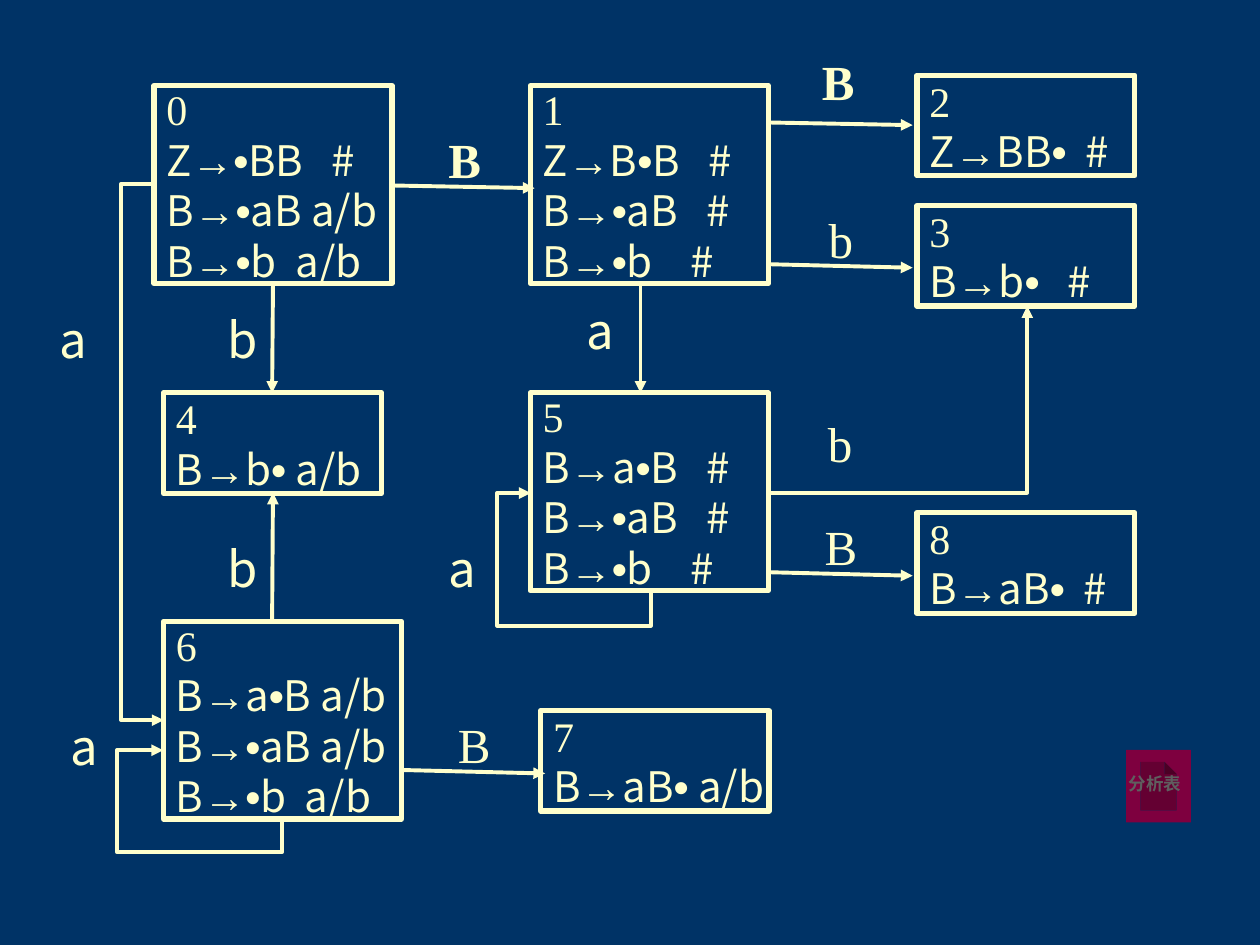
from itertools import groupby
from lxml.etree import SubElement
from pptx import Presentation
from pptx.dml.color import RGBColor
from pptx.enum.shapes import MSO_CONNECTOR as Link, MSO_SHAPE as Form
from pptx.enum.text import MSO_ANCHOR as Anchor, PP_ALIGN as Align
from pptx.oxml.ns import qn
from pptx.util import Pt

CREAM, NAVY, WINE, GRAY = "FFFFCC", "003366", "7E003F", "5F5F5F"
SERIF, SANS, MARK = "Times New Roman", "Noto Sans CJK SC", "Arial"
HIGH = {2: 57.5, 4: 113}

STATES = [
    (88, 49, 136, ["0", "Z→•BB   #", "B→•aB a/b", "B→•b  a/b"]),
    (303, 49, 136, ["1", "Z→B•B   #", "B→•aB   #", "B→•b    #"]),
    (524, 43, 124.5, ["2", "Z→BB•  #"]),
    (524, 117.5, 124.5, ["3", "B→b•   #"]),
    (93.5, 224.5, 124.5, ["4", "B→b• a/b"]),
    (303, 224.5, 136, ["5", "B→a•B   #", "B→•aB   #", "B→•b    #"]),
    (93.5, 355, 136, ["6", "B→a•B a/b", "B→•aB a/b", "B→•b  a/b"]),
    (309, 406, 130.5, ["7", "B→aB• a/b"]),
    (524, 293, 124.5, ["8", "B→aB•  #"]),
]
ARROWS = [
    (224, 106, 305.5, 107.5), (439, 70, 521.5, 71.5), (439, 151, 521.5, 153),
    (156, 162, 155.5, 224.5), (366, 162, 366, 224.5), (439, 327, 521.5, 329),
    (155.5, 355, 156, 281.5), (229.5, 440, 311.5, 442),
]
BENDS = [
    ((439, 281.5, 587, 175), "bentConnector2", 0, []),
    ((88, 105, 93.5, 411.5), "bentConnector3", 0, [-3.4]),
    ((309, 344.5, 366, 276), "bentConnector4", 270, [-0.33, 1.28]),
    ((107.5, 482.5, 147, 414.5), "bentConnector4", 270, [-0.47, 1.39]),
]
LABELS = [
    ("b", 121.5, 173.5, SANS, False), ("b", 121.5, 304, SANS, False),
    ("a", 25, 173.5, SANS, False), ("a", 31, 406, SANS, False),
    ("a", 326, 168, SANS, False), ("a", 247, 304, SANS, False),
    ("B", 248.5, 70.5, SERIF, True), ("B", 462, 26, SERIF, True),
    ("b", 463.5, 116, SERIF, False), ("b", 463, 233, SERIF, False),
    ("B", 463.5, 291.5, SERIF, False), ("B", 254, 404.5, SERIF, False),
]


def color(code):
    """Turn a hex string into a colour."""
    return RGBColor.from_string(code)


def style(run, size, face, code=CREAM, bold=False):
    """Format one run."""
    font = run.font
    font.size, font.name, font.bold = Pt(size), face, bold
    font.color.rgb = color(code)


def add_state(slide, left, top, width, lines):
    """Draw a state box with its number and items."""
    box = slide.shapes.add_shape(
        Form.RECTANGLE, Pt(left), Pt(top), Pt(width), Pt(HIGH[len(lines)]))
    box.shadow.inherit = False
    box.fill.background()
    box.line.color.rgb = color(CREAM)
    box.line.width = Pt(3)
    frame = box.text_frame
    frame.word_wrap = False
    frame.vertical_anchor = Anchor.MIDDLE
    frame.text = lines[0]
    style(frame.paragraphs[0].runs[0], 24, SERIF)
    for line in lines[1:]:
        para = frame.add_paragraph()
        for sign, part in groupby(line, lambda c: c if c in "→•" else ""):
            run = para.add_run()
            run.text = "".join(part)
            style(run, 24, MARK if sign else SANS, bold=sign == "•")
    for para in frame.paragraphs:
        para.alignment = Align.LEFT


def add_arrow(slide, ends, kind=Link.STRAIGHT):
    """Draw a connector with an arrowhead at its end."""
    link = slide.shapes.add_connector(kind, *map(Pt, ends))
    link.line.color.rgb = color(CREAM)
    link.line.width = Pt(2.25)
    SubElement(link.line._get_or_add_ln(), qn("a:tailEnd"), type="triangle")
    SubElement(link._element.spPr, qn("a:effectLst"))
    return link


def add_bend(slide, ends, preset, turn, ratios):
    """Draw an elbow arrow with a given preset, turn and bend ratios."""
    link = add_arrow(slide, ends, Link.ELBOW)
    link.rotation = turn if hasattr(link, "rotation") else 0
    props = link._element.spPr
    if turn:
        props.find(qn("a:xfrm")).set("rot", str(turn * 60000))
    geom = props.find(qn("a:prstGeom"))
    geom.set("prst", preset)
    guides = geom.find(qn("a:avLst"))
    for num, ratio in enumerate(ratios, 1):
        SubElement(guides, qn("a:gd"), name=f"adj{num}",
                   fmla=f"val {round(ratio * 100000)}")


def add_label(slide, text, left, top, face, bold,
              width=34, height=41, size=28, code=CREAM, align=Align.CENTER):
    """Write a short text."""
    box = slide.shapes.add_textbox(Pt(left), Pt(top), Pt(width), Pt(height))
    frame = box.text_frame
    frame.word_wrap = True
    frame.text = text
    para = frame.paragraphs[0]
    para.alignment = align
    style(para.runs[0], size, face, code, bold)


def add_button(slide):
    """Draw the document button with its caption."""
    key = slide.shapes.add_shape(
        Form.ACTION_BUTTON_DOCUMENT, Pt(643.5), Pt(428.5), Pt(37), Pt(41.5))
    key.shadow.inherit = False
    key.fill.solid()
    key.fill.fore_color.rgb = color(WINE)
    key.line.fill.background()
    add_label(slide, "分析表", 638, 438, SERIF, True, 48, 19.5, 10, GRAY,
              Align.LEFT)


def main():
    """Build the state diagram and save it."""
    deck = Presentation()
    deck.slide_width, deck.slide_height = Pt(720), Pt(540)
    slide = deck.slides.add_slide(deck.slide_layouts[6])
    slide.background.fill.solid()
    slide.background.fill.fore_color.rgb = color(NAVY)
    for state in STATES:
        add_state(slide, *state)
    for ends in ARROWS:
        add_arrow(slide, ends)
    for bend in BENDS:
        add_bend(slide, *bend)
    for label in LABELS:
        add_label(slide, *label)
    add_button(slide)
    deck.save("out.pptx")


if __name__ == "__main__":
    main()
